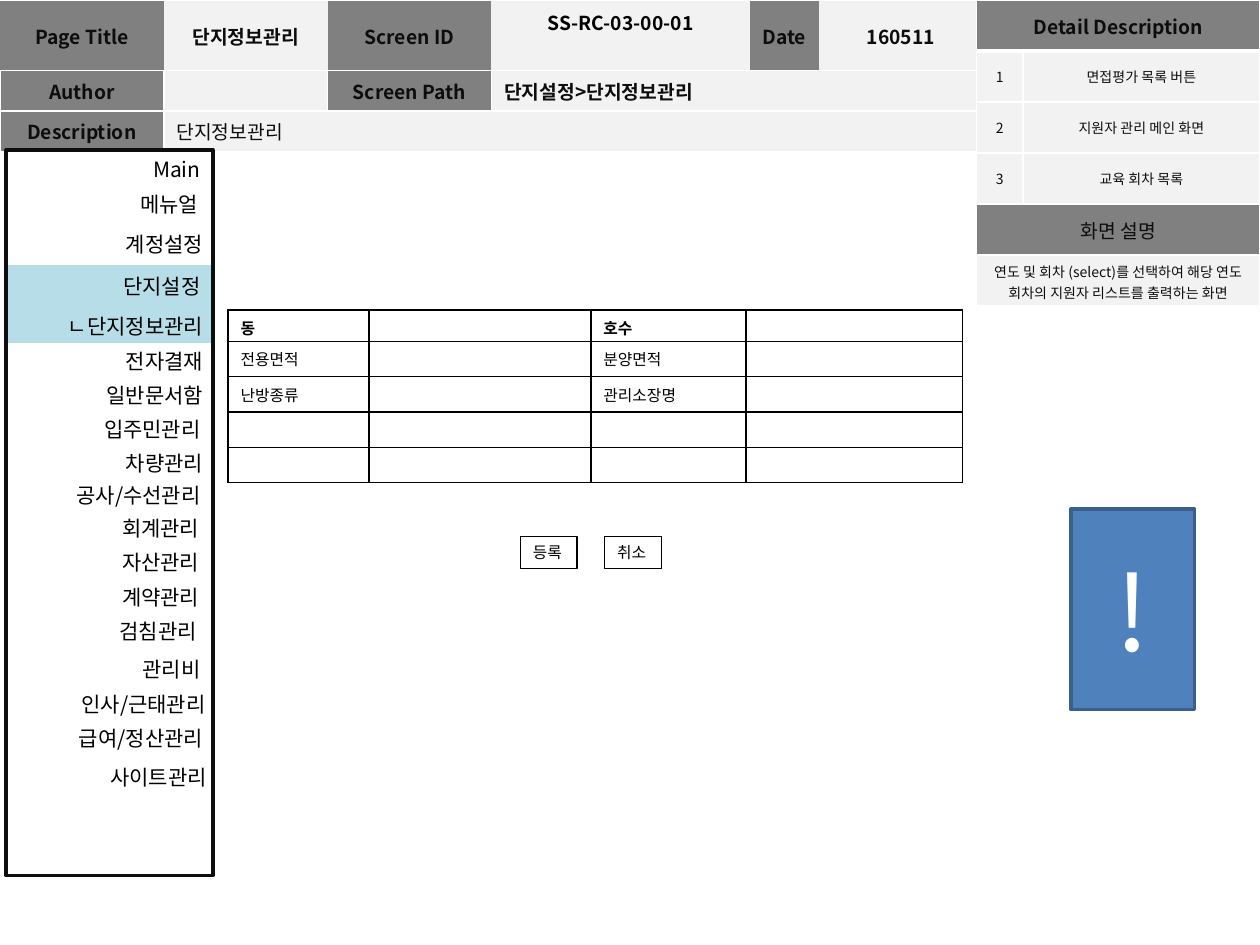
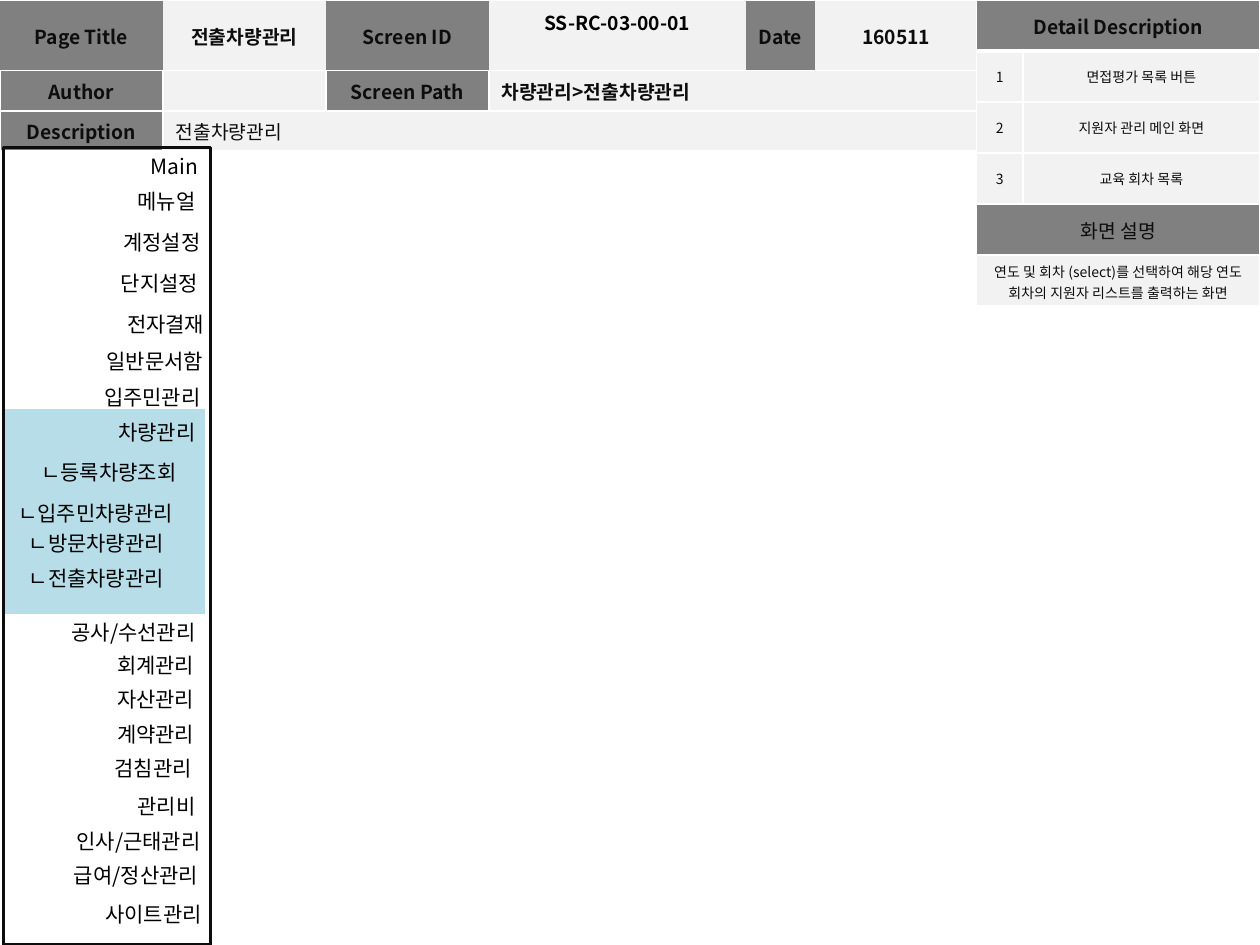
from collections import namedtuple
from dataclasses import dataclass

from lxml.etree import SubElement
from pptx import Presentation
from pptx.dml.color import RGBColor
from pptx.enum.shapes import MSO_SHAPE
from pptx.enum.text import MSO_ANCHOR, PP_ALIGN
from pptx.oxml.ns import qn
from pptx.util import Inches, Pt

Box = namedtuple("Box", "left top width height")


@dataclass(frozen=True)
class Theme:
    """Colours, type sizes and font shared by the slides."""

    font: str = "Noto Sans CJK KR"
    black: str = "000000"
    ink: str = "0D0D0D"
    white: str = "FFFFFF"
    label: str = "808080"
    value: str = "F2F2F2"
    highlight: str = "B7DEE8"
    accent: str = "4F81BD"
    accent_line: str = "3A5F8C"
    heading_size: int = 11
    menu_size: int = 12
    form_size: int = 9
    note_size: int = 8
    mark_size: int = 60


THEME = Theme()
NO_TABLE_STYLE = "{2D5ABB26-0587-4C30-8999-92F81FD0307C}"
MENU_WIDTH = 1.65
MENU_HEIGHT = 0.3

MENU_HEAD = [("Main", -0.01, 0), ("메뉴얼", -0.03, 0.28), ("계정설정", 0.01, 0.6), ("단지설정", -0.01, 0.93)]
MENU_TAIL = [
    ("공사/수선관리", 0, 0),
    ("회계관리", -0.01, 0.26),
    ("자산관리", -0.01, 0.53),
    ("계약관리", -0.01, 0.81),
    ("검침관리", -0.03, 1.08),
    ("관리비", 0, 1.38),
    ("인사/근태관리", 0.04, 1.66),
    ("급여/정산관리", 0.02, 1.93),
    ("사이트관리", 0.05, 2.24),
]
COMPLEX_MENU = [
    ("ㄴ단지정보관리", 0.06, 2.44),
    ("전자결재", 0.06, 2.72),
    ("일반문서함", 0.06, 2.99),
    ("입주민관리", 0.04, 3.26),
    ("차량관리", 0.06, 3.53),
]
VEHICLE_MENU = [
    ("전자결재", 0.07, 2.42),
    ("일반문서함", 0.06, 2.72),
    ("입주민관리", 0.04, 3),
    ("차량관리", 0, 3.28),
    ("ㄴ등록차량조회", 0, 3.6, 1.5),
    ("ㄴ입주민차량관리", 0, 3.92, 1.47),
    ("ㄴ방문차량관리", 0.05, 4.16, 1.35),
    ("ㄴ전출차량관리", 0.05, 4.44, 1.35),
]


def emu(box):
    """Return the box as four lengths."""
    return [Inches(length) for length in box]


def write(frame, text, size, color=THEME.ink, bold=False, align=PP_ALIGN.LEFT):
    """Write one formatted paragraph into a text frame."""
    paragraph = frame.paragraphs[0]
    paragraph.alignment = align
    if not text:
        paragraph._p.get_or_add_endParaRPr().set("sz", str(size * 100))
        return
    run = paragraph.add_run()
    run.text = text
    for name, value in {"size": Pt(size), "bold": bold, "name": THEME.font}.items():
        setattr(run.font, name, value)
    run.font.color.rgb = RGBColor.from_string(color)
    SubElement(run.font._element, qn("a:ea")).set("typeface", THEME.font)


def add_box(slide, box, fill=None, line=None, width=2):
    """Add a flat rectangle."""
    shape = slide.shapes.add_shape(MSO_SHAPE.RECTANGLE, *emu(box))
    shape.shadow.inherit = False
    if fill:
        shape.fill.solid()
        shape.fill.fore_color.rgb = RGBColor.from_string(fill)
    else:
        shape.fill.background()
    shape.line.color.rgb = RGBColor.from_string(line)
    shape.line.width = Pt(width)
    return shape


def add_grid(slide, box, columns, rows):
    """Add an unstyled table with the given column widths and row heights."""
    table = slide.shapes.add_table(len(rows), len(columns), *emu(box)).table
    table.first_row = table.horz_banding = False
    table._tbl.tblPr.find(qn("a:tableStyleId")).text = NO_TABLE_STYLE
    for column, width in zip(table.columns, columns):
        column.width = Inches(width)
    for row, height in zip(table.rows, rows):
        row.height = Inches(height)
    return table


def paint_cell(cell, borders, color, fill=None):
    """Give a cell its border widths by side and its fill."""
    properties = cell._tc.get_or_add_tcPr()
    for side, points in borders.items():
        line = SubElement(properties, qn(f"a:ln{side}"), w=str(Pt(points)))
        SubElement(SubElement(line, qn("a:solidFill")), qn("a:srgbClr"), val=color)
    if fill:
        cell.fill.solid()
        cell.fill.fore_color.rgb = RGBColor.from_string(fill)
    else:
        cell.fill.background()
    cell.vertical_anchor = MSO_ANCHOR.MIDDLE


def set_side_margins(cell, margin):
    """Set equal left and right margins in a cell."""
    cell.margin_left = cell.margin_right = Inches(margin)


def add_page_header(slide, box, title, section):
    """Add the band that identifies the screen."""
    widths = [1.3, 1.3, 1.3, 2.05, 0.55, 1.3]
    scale = box.width / sum(widths)
    table = add_grid(slide, box, [width * scale for width in widths], [0.55, 0.32, 0.32])
    rows = [
        ["Page Title", title, "Screen ID", "SS-RC-03-00-01", "Date", "160511"],
        ["Author", "", "Screen Path", f"{section}>{title}", None, None],
        ["Description", title, None, None, None, None],
    ]
    labels = {"Page Title", "Screen ID", "Date", "Author", "Screen Path", "Description"}
    left_aligned = {(1, 3), (2, 1)}
    for row_index, row in enumerate(rows):
        borders = dict.fromkeys("LRTB" if row_index else "B", 1)
        for column_index, text in enumerate(row):
            cell = table.cell(row_index, column_index)
            paint_cell(cell, borders, THEME.white, THEME.label if text in labels else THEME.value)
            if text is not None:
                align = PP_ALIGN.LEFT if (row_index, column_index) in left_aligned else PP_ALIGN.CENTER
                write(cell.text_frame, text, THEME.heading_size, bold=(row_index, column_index) != (2, 1), align=align)
    screen_id = table.cell(0, 3)
    screen_id.vertical_anchor = MSO_ANCHOR.TOP
    screen_id.text_frame.paragraphs[0].runs[0].font.color.rgb = RGBColor.from_string(THEME.black)
    set_side_margins(table.cell(0, 4), 0.05)
    for row_index, column_index in left_aligned:
        table.cell(row_index, column_index).merge(table.cell(row_index, 5))


def add_detail_panel(slide, box):
    """Add the notes table at the right."""
    rows = [
        ["Detail Description", None],
        ["1", "면접평가 목록 버튼"],
        ["2", "지원자 관리 메인 화면"],
        ["3", "교육 회차 목록"],
        ["화면 설명", None],
        ["연도 및 회차 (select)를 선택하여 해당 연도 회차의 지원자 리스트를 출력하는 화면", None],
    ]
    table = add_grid(slide, box, [0.37, box.width - 0.37], [box.height / len(rows)] * len(rows))
    for row_index, row in enumerate(rows):
        heading = row_index in (0, 4)
        borders = dict.fromkeys("LRTB", 1)
        if row_index == 0:
            borders["B"] = 3
        elif row_index == 1:
            borders["T"] = 3
        for column_index, text in enumerate(row):
            cell = table.cell(row_index, column_index)
            paint_cell(cell, borders, THEME.white, THEME.label if heading else THEME.value)
            if text:
                size = THEME.heading_size if heading else THEME.note_size
                write(cell.text_frame, text, size, bold=row_index == 0, align=PP_ALIGN.CENTER)
        if row[1] is None:
            table.cell(row_index, 0).merge(table.cell(row_index, 1))
    set_side_margins(table.cell(len(rows) - 1, 0), 0.12)


def add_menu_items(slide, items, left=0, top=0):
    """Add right-aligned menu labels offset from a corner."""
    for label, item_left, item_top, *width in items:
        box = Box(left + item_left, top + item_top, width[0] if width else MENU_WIDTH, MENU_HEIGHT)
        frame = slide.shapes.add_textbox(*emu(box)).text_frame
        frame.word_wrap = True
        write(frame, label, THEME.menu_size, THEME.black, align=PP_ALIGN.RIGHT)


def add_side_menu(slide, frame, highlight, items, tail):
    """Add the framed menu with its highlighted section."""
    add_box(slide, highlight, THEME.highlight, THEME.white)
    add_box(slide, frame, line=THEME.ink)
    add_menu_items(slide, MENU_HEAD, frame.left, frame.top)
    add_menu_items(slide, items)
    add_menu_items(slide, MENU_TAIL, *tail)


def add_complex_form(slide, box):
    """Add the form table for the housing complex."""
    labels = [("동", "호수"), ("전용면적", "분양면적"), ("난방종류", "관리소장명"), ("", ""), ("", "")]
    table = add_grid(slide, box, [1.12, 1.76, 1.23, 1.72], [0.25] + [0.28] * 4)
    for row_index, (first, second) in enumerate(labels):
        for column_index, text in enumerate((first, "", second, "")):
            cell = table.cell(row_index, column_index)
            paint_cell(cell, dict.fromkeys("LRTB", 1), THEME.black)
            cell.vertical_anchor = MSO_ANCHOR.TOP
            cell.margin_bottom = Inches(0.01)
            write(cell.text_frame, text, THEME.form_size, THEME.black, bold=row_index == 0)


def add_form_buttons(slide, box, gap):
    """Add the register and cancel buttons, starting at the box."""
    for index, label in enumerate(("등록", "취소")):
        button = add_box(slide, box._replace(left=box.left + index * (box.width + gap)), line=THEME.black, width=0.75)
        button.text_frame.word_wrap = False
        button.text_frame.vertical_anchor = MSO_ANCHOR.TOP
        write(button.text_frame, label, THEME.form_size, THEME.black)


def add_alert(slide, box):
    """Add the block with the exclamation mark."""
    alert = add_box(slide, box, THEME.accent, THEME.accent_line)
    alert.text_frame.vertical_anchor = MSO_ANCHOR.MIDDLE
    write(alert.text_frame, "!", THEME.mark_size, THEME.white, align=PP_ALIGN.CENTER)


def add_screen(presentation, title, section, header_width, **menu):
    """Add a slide with the header, side menu and detail panel."""
    slide = presentation.slides.add_slide(presentation.slide_layouts[6])
    add_page_header(slide, Box(0, 0.01, header_width, 1.19), title, section)
    add_side_menu(slide, **menu)
    add_detail_panel(slide, Box(7.75, 0, 2.25, 2.43))
    return slide


def main():
    """Build and save the presentation."""
    presentation = Presentation()
    presentation.slide_width, presentation.slide_height = Inches(10), Inches(7.5)
    slide = add_screen(
        presentation, "단지정보관리", "단지설정", 7.8,
        frame=Box(0.05, 1.19, 1.64, 5.76),
        highlight=Box(0.05, 2.09, 1.64, 0.65),
        items=COMPLEX_MENU,
        tail=(0.04, 3.78),
    )
    add_complex_form(slide, Box(1.81, 2.46, 5.83, 1.37))
    add_form_buttons(slide, Box(4.13, 4.26, 0.45, 0.25), gap=0.22)
    add_alert(slide, Box(8.5, 4.04, 0.98, 1.59))
    add_screen(
        presentation, "전출차량관리", "차량관리", 7.76,
        frame=Box(0.03, 1.17, 1.64, 6.33),
        highlight=Box(0, 3.23, 1.64, 1.66),
        items=VEHICLE_MENU,
        tail=(0, 4.87),
    )
    presentation.save("out.pptx")


if __name__ == "__main__":
    main()
